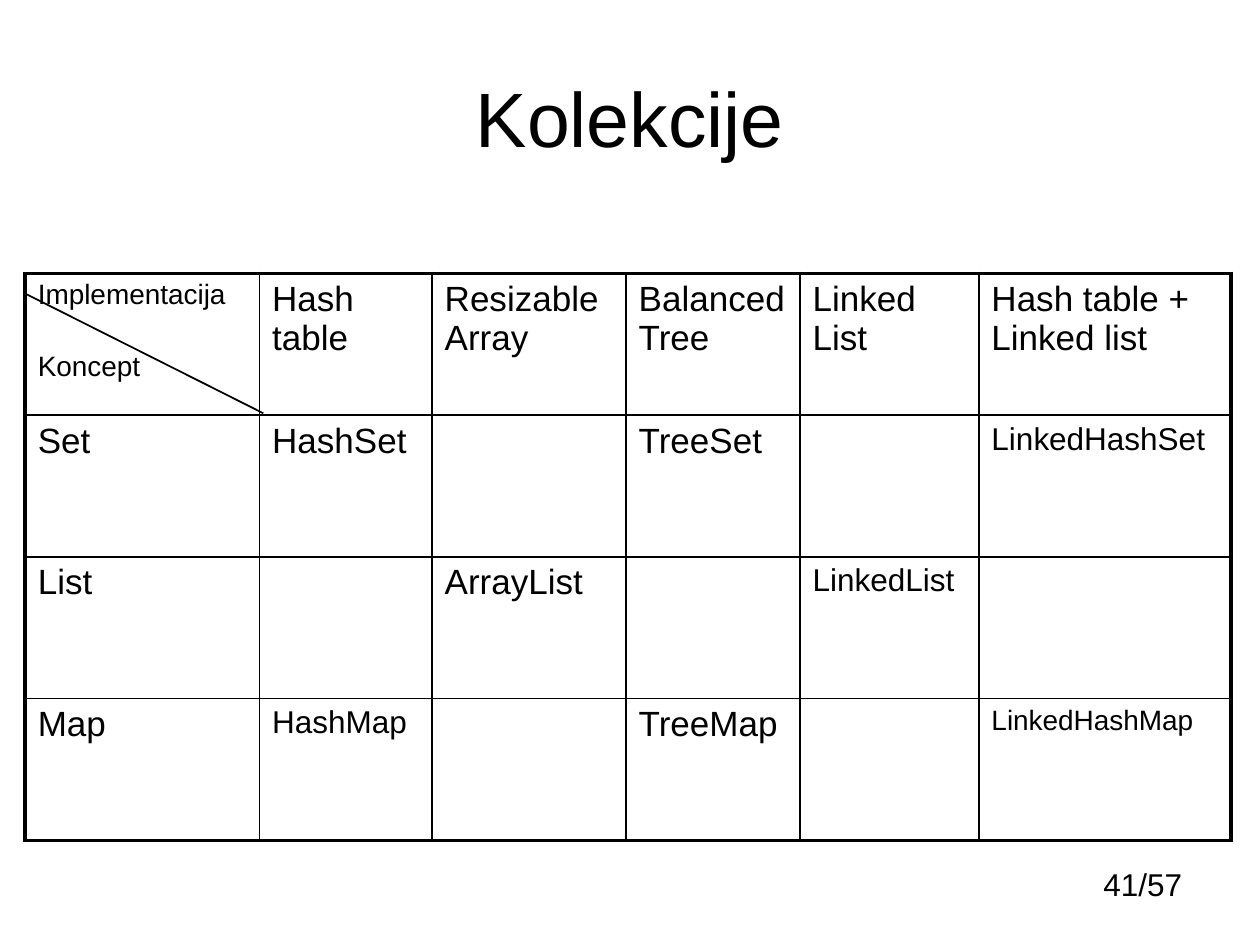
from lxml.etree import SubElement
from pptx import Presentation
from pptx.dml.color import RGBColor
from pptx.enum.shapes import MSO_CONNECTOR
from pptx.enum.text import MSO_ANCHOR, PP_ALIGN
from pptx.oxml import parse_xml
from pptx.oxml.ns import nsdecls, qn
from pptx.util import Inches, Pt

# Content
TITLE = "Kolekcije"
PAGE = "41/57"
ROWS = [
    ["Implementacija\nKoncept", "Hash table", "Resizable Array",
     "Balanced Tree", "Linked List", "Hash table + Linked list"],
    ["Set", "HashSet", "", "TreeSet", "", "LinkedHashSet"],
    ["List", "", "ArrayList", "", "LinkedList", ""],
    ["Map", "HashMap", "", "TreeMap", "", "LinkedHashMap"],
]
BODY_SIZE = 20
SMALL_SIZES = {(0, 0): 16, (1, 5): 18, (2, 4): 18, (3, 1): 18, (3, 5): 16}

# Layout and style
COL_WIDTHS = [1.86, 1.37, 1.54, 1.38, 1.42, 2]
LEFT, TOP, HEIGHT = 0.2, 2.17, 4.5
OUTER, INNER = 2.25, 1
CONCEPT_GAP = 23.3
FONT = "Arial"
COLORS = {"ink": "000000", "paper": "FFFFFF"}


def style(p, size, align=PP_ALIGN.LEFT):
    p.alignment = align
    p.font.size = Pt(size)
    for r in p.runs:
        r.font.name = FONT
        r.font.size = Pt(size)
        r.font.color.rgb = RGBColor.from_string(COLORS["ink"])


def set_borders(cell, widths):
    tc_pr = cell._tc.get_or_add_tcPr()
    for i, (side, width) in enumerate(widths.items()):
        tc_pr.insert(i, parse_xml(
            f'<a:ln{side} {nsdecls("a")} w="{Pt(width)}"><a:solidFill>'
            f'<a:srgbClr val="{COLORS["ink"]}"/></a:solidFill></a:ln{side}>'))


def add_collections_table(s):
    n_rows, n_cols = len(ROWS), len(COL_WIDTHS)
    table = s.shapes.add_table(
        n_rows, n_cols, Inches(LEFT), Inches(TOP),
        Inches(sum(COL_WIDTHS)), Inches(HEIGHT)).table
    table.first_row = table.horz_banding = False
    for col, width in zip(table.columns, COL_WIDTHS):
        col.width = Inches(width)
    for i, texts in enumerate(ROWS):
        table.rows[i].height = Inches(HEIGHT / n_rows)
        for j, text in enumerate(texts):
            cell = table.cell(i, j)
            cell.fill.background()
            cell.text_frame.text = text
            for k, p in enumerate(cell.text_frame.paragraphs):
                style(p, SMALL_SIZES.get((i, j), BODY_SIZE))
                if k:
                    p.space_before = Pt(CONCEPT_GAP)
            set_borders(cell, {
                "L": OUTER if j == 0 else INNER,
                "R": OUTER if j == n_cols - 1 else INNER,
                "T": OUTER if i == 0 else INNER,
                "B": OUTER if i == n_rows - 1 else INNER,
            })


def main():
    prs = Presentation()
    prs.slide_width, prs.slide_height = Inches(10), Inches(7.5)
    s = prs.slides.add_slide(prs.slide_layouts[5])
    s.background.fill.solid()
    s.background.fill.fore_color.rgb = RGBColor.from_string(COLORS["paper"])

    # Title
    title = s.shapes.title
    title.left, title.top = Inches(0.5), Inches(0.3)
    title.width, title.height = Inches(9), Inches(1.25)
    title.text_frame.text = TITLE
    title.text_frame.vertical_anchor = MSO_ANCHOR.MIDDLE
    style(title.text_frame.paragraphs[0], 44, PP_ALIGN.CENTER)

    add_collections_table(s)

    # Diagonal in the corner cell
    line = s.shapes.add_connector(
        MSO_CONNECTOR.STRAIGHT, Inches(2.09), Inches(3.28),
        Inches(LEFT), Inches(2.33))
    line.line.color.rgb = RGBColor.from_string(COLORS["ink"])
    line.line.width = Pt(1)
    SubElement(line._element.spPr, qn("a:effectLst"))

    # Page number
    page = s.shapes.add_textbox(
        Inches(7.2), Inches(6.82), Inches(2.28), Inches(0.4))
    page.text_frame.word_wrap = True
    page.text_frame.text = PAGE
    style(page.text_frame.paragraphs[0], 18, PP_ALIGN.RIGHT)

    prs.save("out.pptx")


if __name__ == "__main__":
    main()
